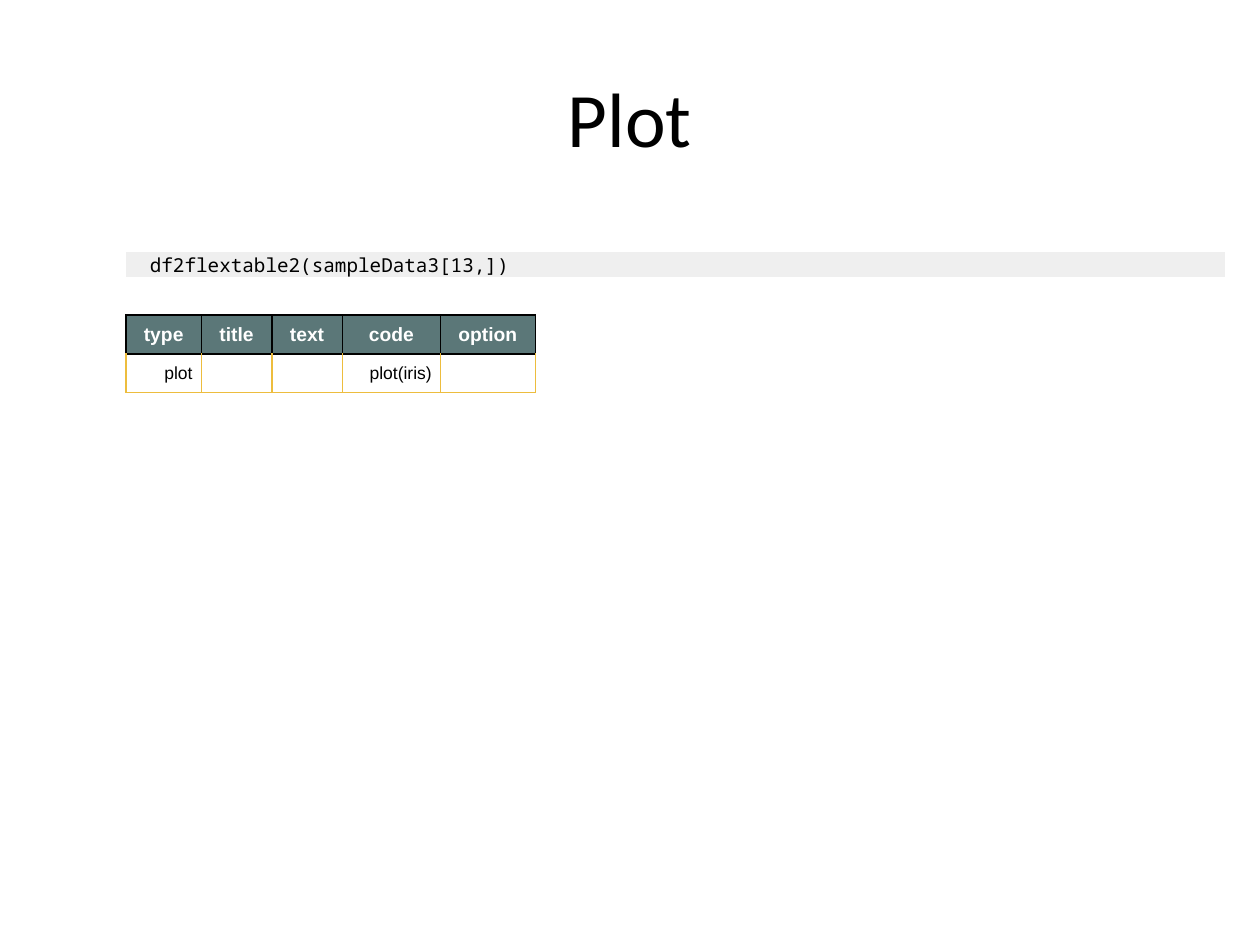
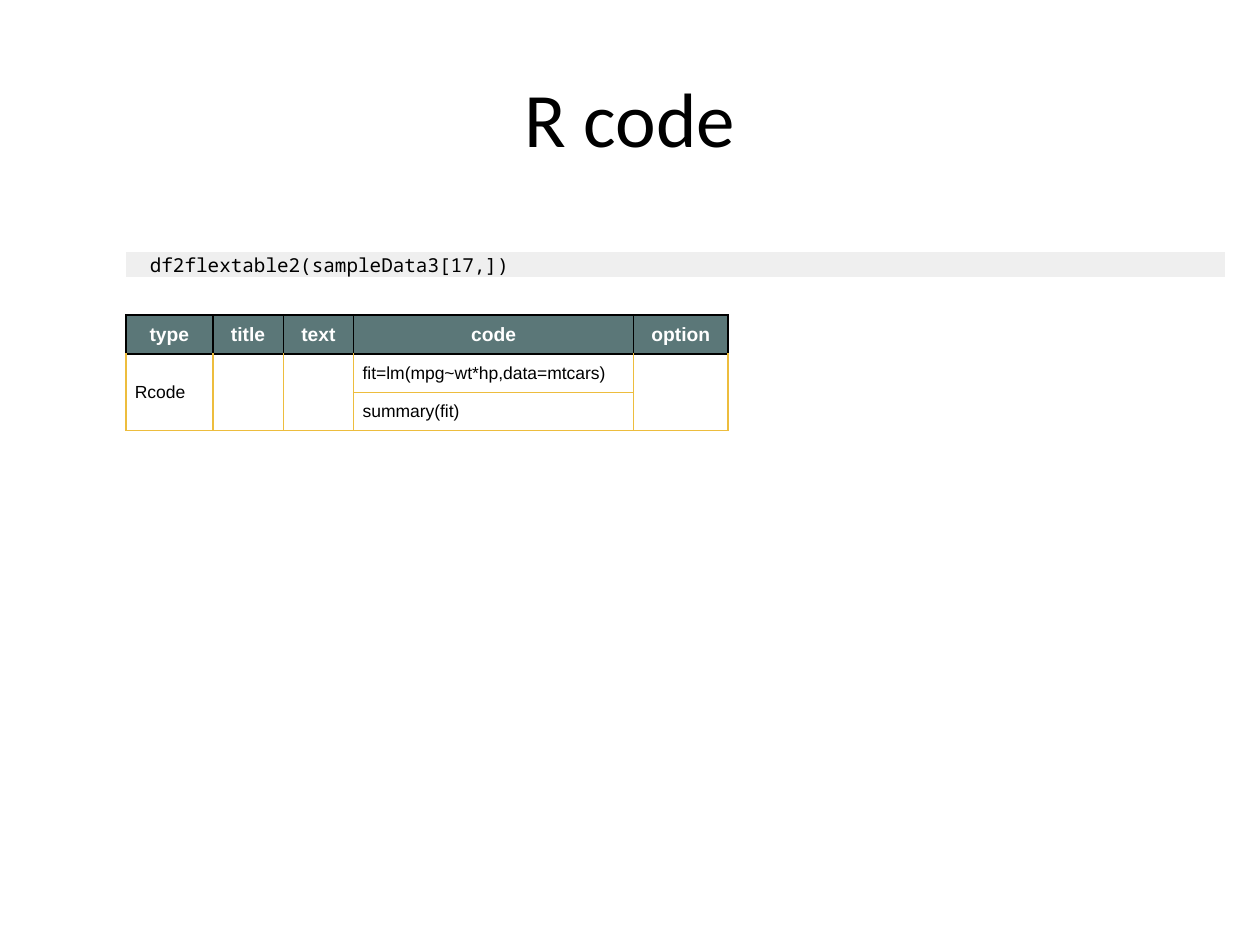
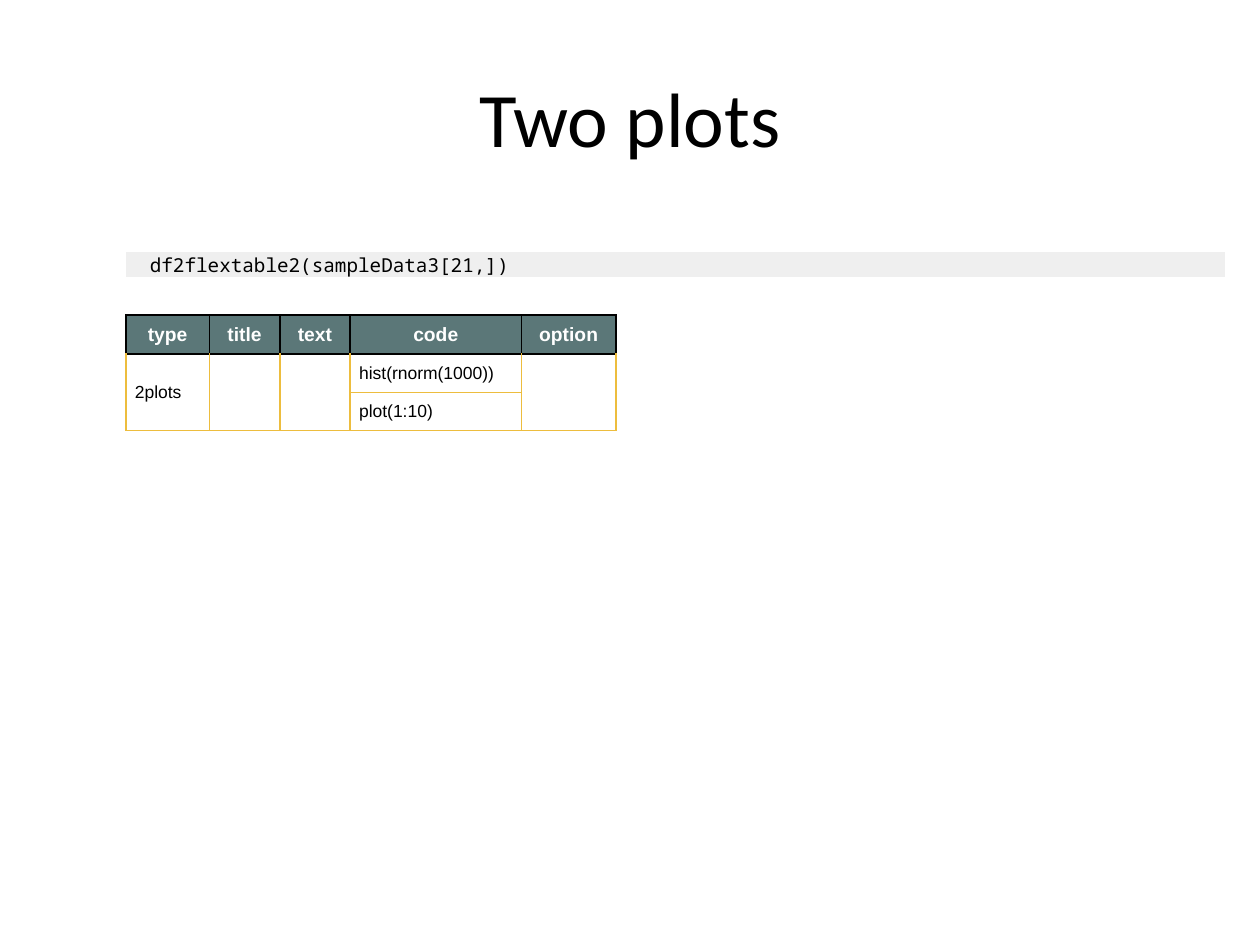
import dataclasses

import lxml.etree
import pptx
import pptx.dml.color
import pptx.enum.text
import pptx.oxml.ns
import pptx.util

Cm = pptx.util.Cm
Pt = pptx.util.Pt
qn = pptx.oxml.ns.qn
ALIGN = pptx.enum.text.PP_ALIGN
MIDDLE = pptx.enum.text.MSO_ANCHOR.MIDDLE


@dataclasses.dataclass(frozen=True)
class Theme:
    """Colours, fonts and type sizes of the deck."""
    ink: str = "000000"
    paper: str = "FFFFFF"
    code_fill: str = "EFEFEF"
    head_fill: str = "5B7778"
    rule: str = "EDBD3E"
    title_font: str = "Calibri"
    code_font: str = "Noto Sans Mono"
    table_font: str = "Arial"
    title_size: int = 44
    code_size: int = 11
    head_size: int = 11
    body_size: int = 10
    no_style: str = "{2D5ABB26-0587-4C30-8999-92F81FD0307C}"


THEME = Theme()
HEADS = ("type", "title", "text", "code", "option")
TITLE_BOX = (1.27, 0.76, 22.86, 3.18)
CODE_BOX = (2.54, 5.08, 22.15, 0.51)
TABLE_ORIGIN = (2.54, 6.35)
CODE_INDENT = 0.48
HEAD_HEIGHT, BODY_HEIGHT = 0.79, 0.77
CELL_MARGIN = 0.18
NARROW, OPTION = 1.42, 1.91


def write(p, text, font, size, color, bold=False, align=ALIGN.LEFT):
    """Put formatted text in a paragraph; an empty one keeps its type size."""
    p.text = text
    p.alignment = align
    for r in p.runs:
        r.font.name = font
        r.font.size = Pt(size)
        r.font.bold = bold
        r.font.color.rgb = pptx.dml.color.RGBColor.from_string(color)
    if not text:
        lxml.etree.SubElement(p._p, qn("a:endParaRPr"), sz=str(size * 100))


def add_title(slide, box, text):
    """Add the centred slide title."""
    sp = slide.shapes.add_textbox(*map(Cm, box))
    tf = sp.text_frame
    tf.word_wrap = True
    tf.vertical_anchor = MIDDLE
    write(tf.paragraphs[0], text, THEME.title_font, THEME.title_size,
          THEME.ink, align=ALIGN.CENTER)


def add_plain_table(slide, left, top, widths, heights):
    """Add an unstyled table with the given column widths and row heights."""
    frame = slide.shapes.add_table(len(heights), len(widths), Cm(left), Cm(top),
                                   Cm(sum(widths)), Cm(sum(heights)))
    table = frame.table
    table.first_row = table.horz_banding = False
    table._tbl.tblPr.find(qn("a:tableStyleId")).text = THEME.no_style
    for column, width in zip(table.columns, widths):
        column.width = Cm(width)
    for row, height in zip(table.rows, heights):
        row.height = Cm(height)
    for cell in table.iter_cells():
        cell.margin_left = cell.margin_right = 0
        cell.margin_top = cell.margin_bottom = 0
        cell.vertical_anchor = MIDDLE
    return table


def fill_cell(cell, color):
    """Fill a cell, or leave it clear when there is no colour."""
    if color is None:
        cell.fill.background()
    else:
        cell.fill.solid()
        cell.fill.fore_color.rgb = pptx.dml.color.RGBColor.from_string(color)


def border_cell(cell, sides, top, bottom):
    """Draw one-point borders round a cell."""
    pr = cell._tc.get_or_add_tcPr()
    edges = (("a:lnL", sides), ("a:lnR", sides), ("a:lnT", top), ("a:lnB", bottom))
    for i, (tag, color) in enumerate(edges):
        ln = lxml.etree.SubElement(pr, qn(tag), w=str(Pt(1)))
        solid = lxml.etree.SubElement(ln, qn("a:solidFill"))
        lxml.etree.SubElement(solid, qn("a:srgbClr"), val=color)
        pr.insert(i, ln)


def space_paragraph(p):
    """Give a table paragraph its side margins and spacing."""
    p.space_before = p.space_after = Pt(2)
    pr = p._p.get_or_add_pPr()
    for side in ("marL", "marR"):
        pr.set(side, str(Cm(CELL_MARGIN)))
    pr.set("indent", "0")


def add_code_band(slide, box, code):
    """Add the grey band with one line of code."""
    left, top, width, height = box
    table = add_plain_table(slide, left, top, (CODE_INDENT, width - CODE_INDENT),
                            (height,))
    for cell, text in zip(table.iter_cells(), ("", code)):
        fill_cell(cell, THEME.code_fill)
        write(cell.text_frame.paragraphs[0], text, THEME.code_font,
              THEME.code_size, THEME.ink)


def add_sample_table(slide, origin, kind, codes, type_width, code_width, align):
    """Add the sample row, with one line for each piece of code."""
    widths = (type_width, NARROW, NARROW, code_width, OPTION)
    heights = [HEAD_HEIGHT] + [BODY_HEIGHT] * len(codes)
    table = add_plain_table(slide, *origin, widths, heights)
    rows = [HEADS] + [(kind if i == 0 else "", "", "", code, "")
                      for i, code in enumerate(codes)]
    for y, row in enumerate(rows):
        for x, text in enumerate(row):
            cell = table.cell(y, x)
            p = cell.text_frame.paragraphs[0]
            if y == 0:
                write(p, text, THEME.table_font, THEME.head_size, THEME.paper,
                      True, ALIGN.CENTER)
                fill_cell(cell, THEME.head_fill)
                border_cell(cell, THEME.ink, THEME.ink, THEME.rule)
            else:
                write(p, text, THEME.table_font, THEME.body_size, THEME.ink,
                      align=align)
                fill_cell(cell, None)
                border_cell(cell, THEME.rule, THEME.ink if y == 1 else THEME.rule,
                            THEME.rule)
            space_paragraph(p)
    if len(codes) > 1:
        for x, head in enumerate(HEADS):
            if head != "code":
                table.cell(1, x).merge(table.cell(len(codes), x))


def add_sample_slide(prs, title, index, kind, codes, type_width, code_width,
                     align=ALIGN.LEFT):
    """Add a slide that shows one row of the sample data."""
    slide = prs.slides.add_slide(prs.slide_layouts[6])
    add_title(slide, TITLE_BOX, title)
    add_code_band(slide, CODE_BOX, f"df2flextable2(sampleData3[{index},])")
    add_sample_table(slide, TABLE_ORIGIN, kind, codes, type_width, code_width, align)


def main():
    """Build and save the deck."""
    prs = pptx.Presentation()
    prs.slide_width, prs.slide_height = Cm(25.4), Cm(19.05)
    add_sample_slide(prs, "Plot", 13, "plot", ["plot(iris)"], 1.52, 1.98, ALIGN.RIGHT)
    add_sample_slide(prs, "R code", 17, "Rcode",
                     ["fit=lm(mpg~wt*hp,data=mtcars)", "summary(fit)"], 1.75, 5.64)
    add_sample_slide(prs, "Two plots", 21, "2plots",
                     ["hist(rnorm(1000))", "plot(1:10)"], 1.68, 3.45)
    prs.save("out.pptx")


main()
